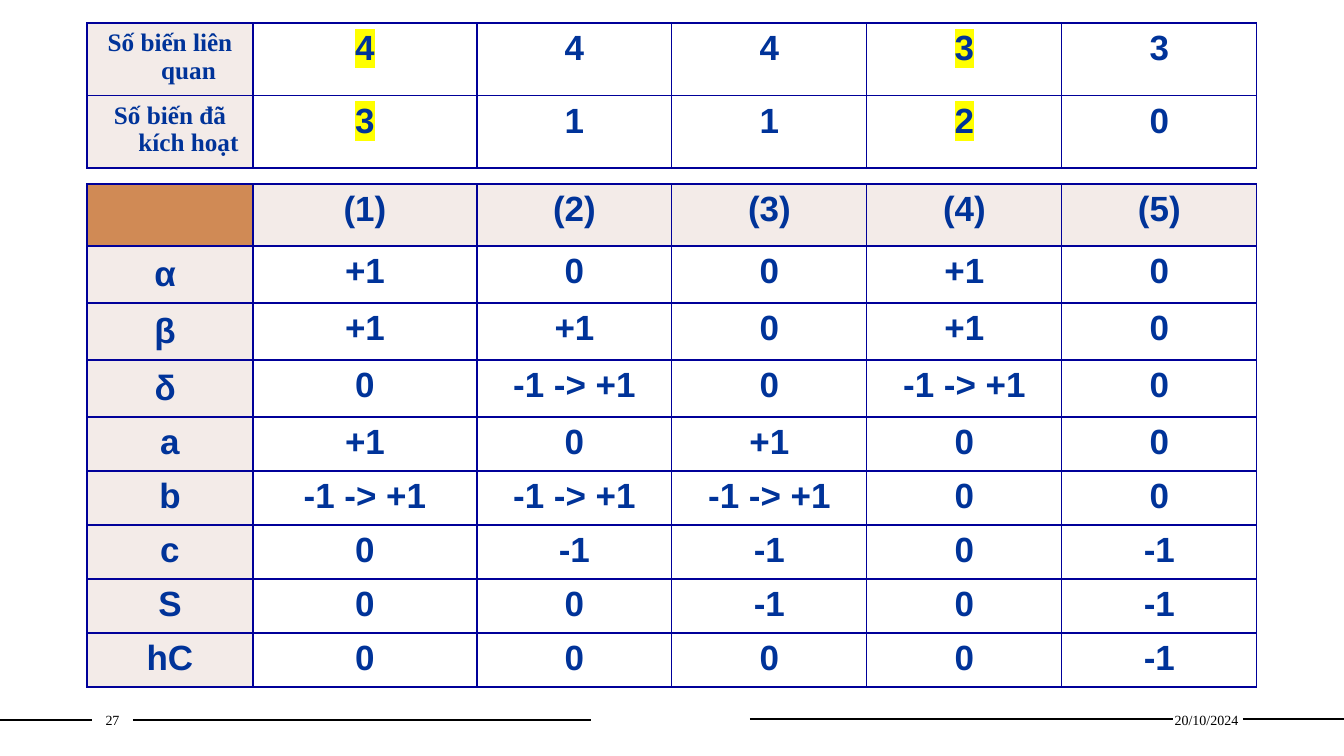
from dataclasses import dataclass
from typing import Any

from lxml import etree
from pptx import Presentation, util as u
from pptx.dml.color import RGBColor
from pptx.enum import shapes, text
from pptx.oxml import ns

EMU_PER_PX = 914400 / 100.8


@dataclass(frozen=True)
class Theme:
    ink: str = "003399"
    border: str = "000099"
    corner: str = "D08A55"
    heading: str = "F3EBE8"
    paper: str = "FFFFFF"
    highlight: str = "FFFF00"
    footer: str = "000000"
    sans: str = "Arial"
    serif: str = "Times New Roman"
    value_size: int = 25
    label_size: int = 18
    footer_size: int = 10


@dataclass(frozen=True)
class DataTable:
    top: int
    heights: tuple[int, ...]
    rows: tuple[tuple[str, ...], ...]
    has_header: bool = False
    serif_labels: bool = False
    highlighted_columns: tuple[int, ...] = ()


@dataclass(frozen=True)
class FooterLine:
    start: int
    end: int
    y: int


@dataclass(frozen=True)
class FooterText:
    left: int
    width: int
    content: str


THEME = Theme()
TABLE_LEFT = 87
COLUMN_WIDTHS = (166, 224) + (195,) * 4
SIDE_INSET, EDGE_INSET, GREEK_INSET = 14, 6, 9
HANGING_INDENT = 37
FOOTER_TOP, FOOTER_HEIGHT, FOOTER_INSET = 706, 27, 5
GREEK = ("α ", "β ", "δ ")

TABLES = (
    DataTable(
        top=184,
        heights=(62, 56, 55, 56, 53, 53, 52, 53, 53),
        rows=(
            ("", "(1)", "(2)", "(3)", "(4)", "(5)"),
            ("α ", "+1", "0", "0", "+1", "0"),
            ("β ", "+1", "+1", "0", "+1", "0"),
            ("δ ", "0", "-1 -> +1", "0", "-1 -> +1", "0"),
            ("a", "+1", "0", "+1", "0", "0"),
            ("b", "-1 -> +1", "-1 -> +1", "-1 -> +1", "0", "0"),
            ("c", "0", "-1", "-1", "0", "-1"),
            ("S", "0", "0", "-1", "0", "-1"),
            ("hC", "0", "0", "0", "0", "-1"),
        ),
        has_header=True,
    ),
    DataTable(
        top=23,
        heights=(70, 69),
        rows=(
            ("Số biến liên quan", "4", "4", "4", "3", "3"),
            ("Số biến đã kích hoạt", "3", "1", "1", "2", "0"),
        ),
        serif_labels=True,
        highlighted_columns=(1, 4),
    ),
)
FOOTER_LINES = (
    FooterLine(0, 92, 720),
    FooterLine(133, 591, 720),
    FooterLine(750, 1173, 719),
    FooterLine(1243, 1344, 719),
)
FOOTER_TEXTS = (FooterText(1171, 71, "20/10/2024"), FooterText(92, 41, "27"))


def px(length: int) -> u.Emu:
    return u.Emu(round(length * EMU_PER_PX))


def apply_format(target: Any, values: dict[str, Any]) -> None:
    for name, value in values.items():
        setattr(target, name, value)


def write_text(paragraph: Any, content: str, font: str, size: int, color: str, bold: bool) -> Any:
    paragraph.alignment = text.PP_ALIGN.CENTER
    run = paragraph.add_run()
    run.text = content
    apply_format(run.font, {"name": font, "size": u.Pt(size), "bold": bold})
    run.font.color.rgb = RGBColor.from_string(color)
    return run


def highlight_run(run: Any) -> None:
    highlight = etree.Element(ns.qn("a:highlight"))
    etree.SubElement(highlight, ns.qn("a:srgbClr"), val=THEME.highlight)
    run._r.get_or_add_rPr().find(ns.qn("a:solidFill")).addnext(highlight)


def add_borders(cell: Any) -> None:
    properties = cell._tc.get_or_add_tcPr()
    for side in ("L", "R", "T", "B"):
        border = etree.SubElement(properties, ns.qn(f"a:ln{side}"), w=str(u.Pt(1)))
        fill = etree.SubElement(border, ns.qn("a:solidFill"))
        etree.SubElement(fill, ns.qn("a:srgbClr"), val=THEME.border)


def format_cell(cell: Any, content: str, fill: str, serif: bool, highlighted: bool) -> None:
    apply_format(cell, {
        "margin_left": px(SIDE_INSET),
        "margin_right": px(SIDE_INSET),
        "margin_top": px(GREEK_INSET if content in GREEK else EDGE_INSET),
        "margin_bottom": px(EDGE_INSET),
    })
    add_borders(cell)
    cell.fill.solid()
    cell.fill.fore_color.rgb = RGBColor.from_string(fill)
    if not content:
        return
    paragraph = cell.text_frame.paragraphs[0]
    properties = paragraph._p.get_or_add_pPr()
    properties.set("marL", str(px(HANGING_INDENT)))
    properties.set("indent", str(-px(HANGING_INDENT)))
    font, size = (THEME.serif, THEME.label_size) if serif else (THEME.sans, THEME.value_size)
    run = write_text(paragraph, content, font, size, THEME.ink, True)
    if highlighted:
        highlight_run(run)


def add_data_table(slide: Any, data: DataTable) -> None:
    table = slide.shapes.add_table(
        len(data.rows), len(COLUMN_WIDTHS), px(TABLE_LEFT), px(data.top),
        px(sum(COLUMN_WIDTHS)), px(sum(data.heights)),
    ).table
    apply_format(table, {"first_row": False, "horz_banding": False})
    for column, width in zip(table.columns, COLUMN_WIDTHS):
        column.width = px(width)
    for row, height in zip(table.rows, data.heights):
        row.height = px(height)
    for row_index, values in enumerate(data.rows):
        for column_index, content in enumerate(values):
            is_label = column_index == 0
            is_heading = is_label or (data.has_header and row_index == 0)
            fill = THEME.heading if is_heading else THEME.paper
            format_cell(
                table.cell(row_index, column_index), content,
                fill if content else THEME.corner,
                data.serif_labels and is_label,
                column_index in data.highlighted_columns,
            )


def add_footer_line(slide: Any, line: FooterLine) -> None:
    connector = slide.shapes.add_connector(
        shapes.MSO_CONNECTOR.STRAIGHT, px(line.start), px(line.y), px(line.end), px(line.y)
    )
    connector.line.color.rgb = RGBColor.from_string(THEME.footer)
    connector.line.width = u.Pt(1)
    etree.SubElement(connector._element.spPr, ns.qn("a:effectLst"))


def add_footer_text(slide: Any, footer: FooterText) -> None:
    frame = slide.shapes.add_textbox(
        px(footer.left), px(FOOTER_TOP), px(footer.width), px(FOOTER_HEIGHT)
    ).text_frame
    apply_format(frame, {
        "word_wrap": True,
        "vertical_anchor": text.MSO_ANCHOR.MIDDLE,
        "margin_left": 0,
        "margin_right": 0,
        "margin_top": px(FOOTER_INSET),
        "margin_bottom": px(FOOTER_INSET),
    })
    write_text(frame.paragraphs[0], footer.content, THEME.serif, THEME.footer_size, THEME.footer, False)


def main() -> None:
    presentation = Presentation()
    apply_format(presentation, {"slide_width": px(1344), "slide_height": px(756)})
    slide = presentation.slides.add_slide(presentation.slide_layouts[6])
    for line in FOOTER_LINES:
        add_footer_line(slide, line)
    for footer in FOOTER_TEXTS:
        add_footer_text(slide, footer)
    for data in TABLES:
        add_data_table(slide, data)
    presentation.save("out.pptx")


if __name__ == "__main__":
    main()
